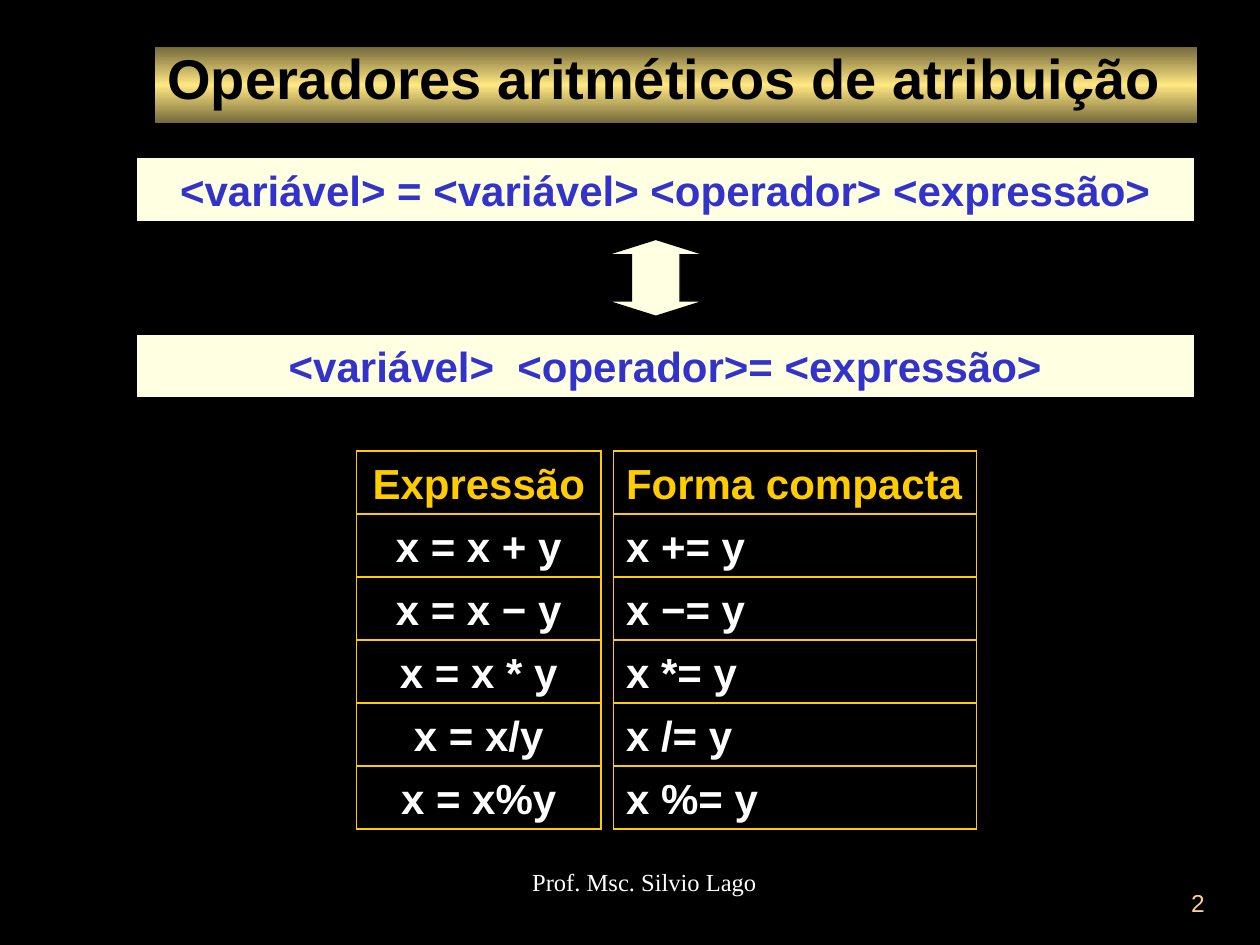
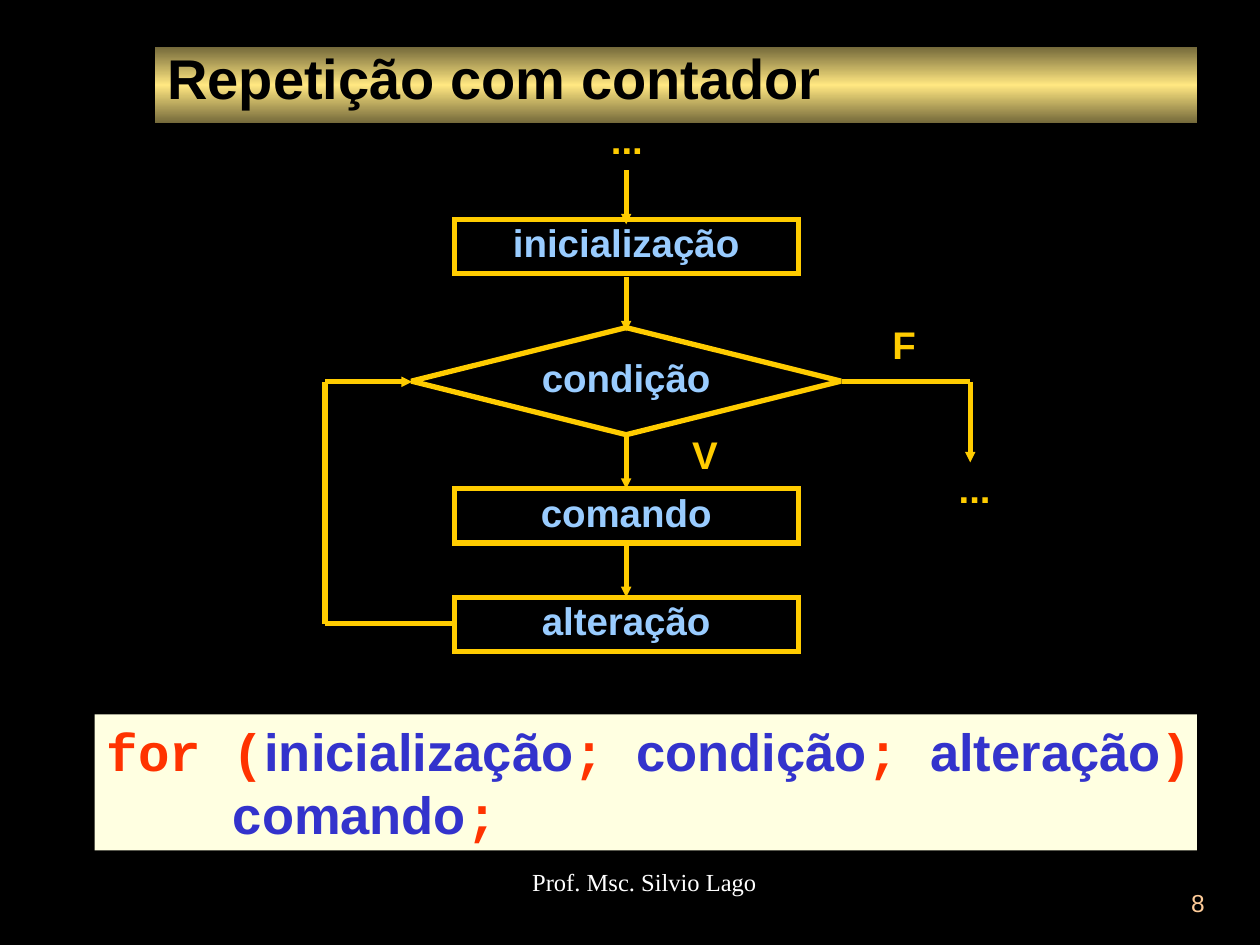
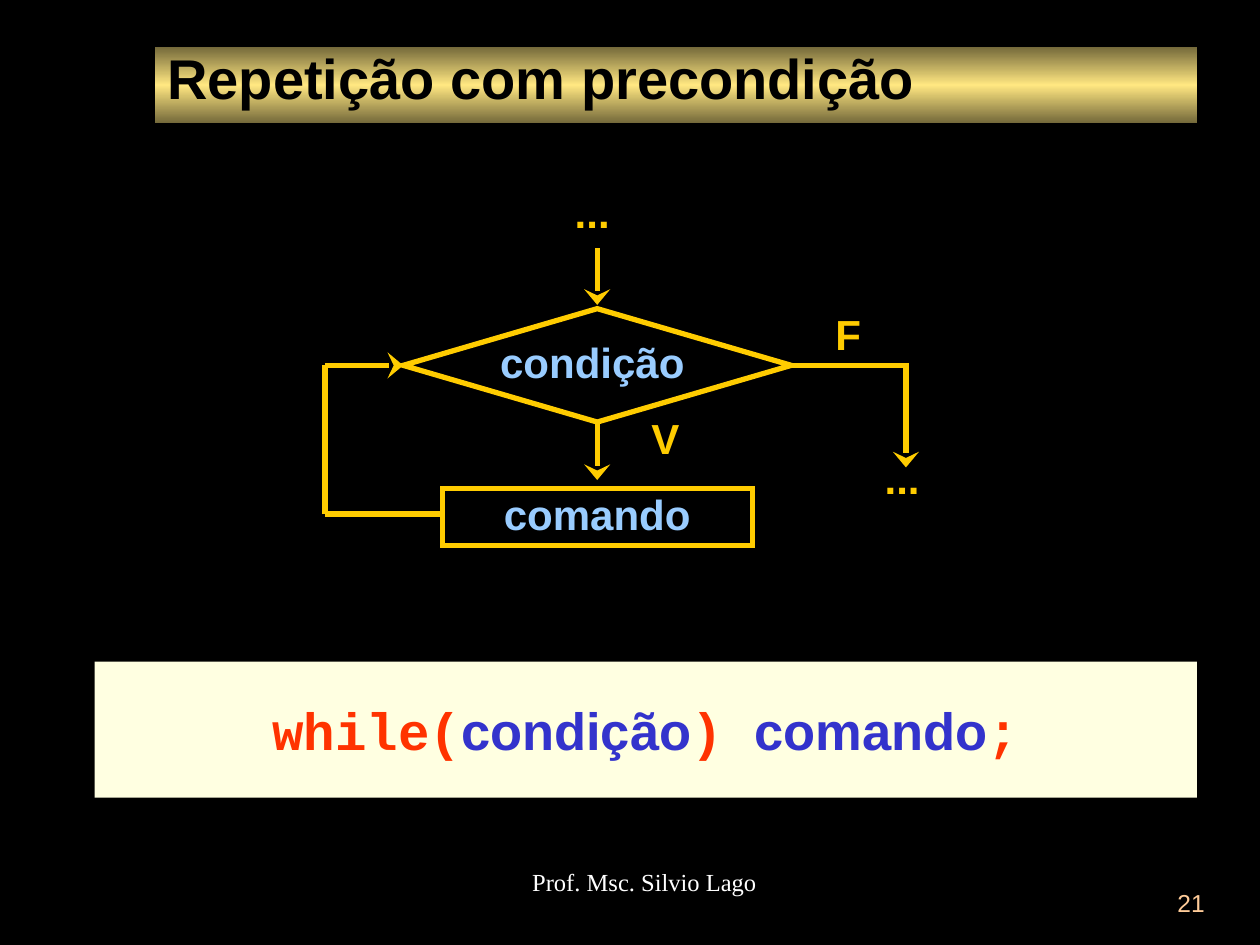
from copy import deepcopy

from pptx import Presentation
from pptx.dml.color import RGBColor
from pptx.enum.shapes import MSO_CONNECTOR, MSO_SHAPE as Shape
from pptx.enum.text import MSO_ANCHOR as Anchor, PP_ALIGN as Align
from pptx.oxml import parse_xml
from pptx.oxml.ns import nsdecls, qn
from pptx.util import Inches, Pt

BLACK, WHITE, CREAM = "000000", "FFFFFF", "FFFFE1"
GOLD, BLUE, SKY, RED, PEACH = "FFCC00", "3333CC", "99CCFF", "FF3300", "FFCC99"
TITLE_STOPS = [(0, "73683A"), (0.5, "FFE781"), (1, "73683A")]
BOX_INSETS = (0.1, 0.05, 0.1, 0.05)
hex_color = RGBColor.from_string


def write(frame, text, size=24, color=WHITE, font="Arial", bold=True,
          align=Align.CENTER, name_color=BLUE):
    """Fill a text frame; parts between bars are names set in Arial."""
    for row, line in enumerate(text.split("\n")):
        para = frame.add_paragraph() if row else frame.paragraphs[0]
        para.alignment = align
        for index, part in enumerate(line.split("|")):
            is_name = index % 2 == 1
            span = para.add_run()
            span.text = part
            span.font.name = "Arial" if is_name else font
            span.font.size = Pt(size)
            span.font.bold = bold
            span.font.color.rgb = hex_color(name_color if is_name else color)


def add_box(page, left, top, width, height, text="", kind=Shape.RECTANGLE, fill=None,
            line=None, line_width=0.75, anchor=Anchor.TOP, insets=BOX_INSETS,
            wrap=True, **text_format):
    place = [Inches(length) for length in (left, top, width, height)]
    if fill or line:
        box = page.shapes.add_shape(kind, *place)
        box.shadow.inherit = False
        if fill:
            box.fill.solid()
            box.fill.fore_color.rgb = hex_color(fill)
        else:
            box.fill.background()
        if line:
            box.line.color.rgb = hex_color(line)
            box.line.width = Pt(line_width)
            box.line._get_or_add_ln().append(
                parse_xml(f'<a:miter {nsdecls("a")} lim="800000"/>'))
        else:
            box.line.fill.background()
    else:
        box = page.shapes.add_textbox(*place)
    frame = box.text_frame
    frame.word_wrap = wrap
    frame.vertical_anchor = anchor
    (frame.margin_left, frame.margin_top,
     frame.margin_right, frame.margin_bottom) = map(Inches, insets)
    if text:
        write(frame, text, **text_format)
    return box


deck = Presentation()
deck.slide_width, deck.slide_height = Inches(10), Inches(7.5)

# Background, title band and footer on every page
pages = []
for title, number in [("Operadores aritméticos de atribuição", 2),
                      ("Repetição com contador", 8),
                      ("Repetição com precondição", 21)]:
    page = deck.slides.add_slide(deck.slide_layouts[6])
    page.background.fill.solid()
    page.background.fill.fore_color.rgb = hex_color(BLACK)
    band = add_box(page, 1.23, 0.37, 8.27, 0.61, title, fill=CREAM,
                   anchor=Anchor.MIDDLE, insets=(0.1, 0, 0.1, 0.13),
                   size=32, color=BLACK, align=Align.LEFT)
    band.fill.gradient()
    band.fill.gradient_angle = 90
    stop_list = next(band._element.spPr.iter(qn("a:gsLst")))
    stop_list.insert(1, deepcopy(stop_list[0]))
    for stop, (position, color) in zip(band.fill.gradient_stops, TITLE_STOPS):
        stop.position = position
        stop.color.rgb = hex_color(color)
    add_box(page, 3.53, 6.83, 3.17, 0.5, "Prof. Msc. Silvio Lago", size=14,
            font="Times New Roman", bold=False)
    add_box(page, 7.58, 7, 2.08, 0.5, str(number), size=14, color=PEACH,
            bold=False, align=Align.RIGHT)
    pages.append(page)
operators_page, for_page, while_page = pages

# Assignment forms and their equivalence arrow
for top, form in [(1.25, "<variável> = <variável> <operador> <expressão>"),
                  (2.65, "<variável>  <operador>= <expressão>")]:
    add_box(operators_page, 1.08, top, 8.4, 0.51, form, fill=CREAM, line=BLACK,
            anchor=Anchor.MIDDLE, wrap=False, color=BLUE)
arrow = add_box(operators_page, 4.82, 1.9, 0.77, 0.61, kind=Shape.UP_DOWN_ARROW,
                fill=CREAM, line=BLACK)
arrow.adjustments[0], arrow.adjustments[1] = 0.2, 0.5
for guide in arrow._element.spPr.iter(qn("a:gd")):
    share = {"adj1": 50000, "adj2": 19900}[guide.get("name")]
    guide.set("fmla", f"val {share}")

# Expressions beside their compact forms, as two separate columns of cells
row_height = 0.5
for left, width, align, entries in [
    (2.83, 1.94, Align.CENTER,
     ["Expressão", "x = x + y", "x = x − y", "x = x * y", "x = x/y", "x = x%y"]),
    (4.87, 2.88, Align.LEFT,
     ["Forma compacta", "x += y", "x −= y", "x *= y", "x /= y", "x %= y"]),
]:
    for row, entry in enumerate(entries):
        add_box(operators_page, left, 3.58 + row * row_height, width, row_height, entry,
                line=GOLD, anchor=Anchor.MIDDLE, wrap=False,
                color=WHITE if row else GOLD, align=align)

# Code panels
for page, top, align, code in [
    (for_page, 5.67, Align.LEFT,
     "for (|inicialização|; |condição|; |alteração|)\n    |comando|;"),
    (while_page, 5.25, Align.CENTER, "while(|condição|) |comando|;"),
]:
    add_box(page, 0.75, top, 8.75, 1.08, code, fill=CREAM, anchor=Anchor.MIDDLE,
            wrap=False, size=30, font="Courier New", color=RED, align=align)

# Flowcharts: steps (kind, top, width, height, text, alignment),
# lines (x1, y1, x2, y2, has arrowhead), labels (text, left, top, alignment)
PROCESS, DECISION = Shape.FLOWCHART_PROCESS, Shape.FLOWCHART_DECISION
LOOP_X = 2.58
for_axis, for_exit = 4.97, 7.7
while_axis, while_exit = 4.74, 7.19
flowcharts = [
    dict(
        page=for_page, axis=for_axis, size=22, label_size=(0.69, 0.43),
        head='type="triangle" w="sm" len="sm"',
        steps=[(DECISION, 2.6, 3.41, 0.85, "condição", Align.CENTER)]
        + [(PROCESS, top, 2.73, 0.43, text, Align.CENTER)
           for top, text in [(1.74, "inicialização"), (3.88, "comando"),
                             (4.74, "alteração")]],
        lines=[(for_axis, top, for_axis, top + 0.43, True)
               for top in (1.35, 2.2, 3.45, 4.31)]
        + [(3.61, 4.95, LOOP_X, 4.95, False),
           (LOOP_X, 4.95, LOOP_X, 3.03, False),
           (LOOP_X, 3.03, 3.27, 3.03, True),
           (6.68, 3.03, for_exit, 3.03, False),
           (for_exit, 3.03, for_exit, 3.67, True)],
        labels=[("V", 5.25, 3.42, Align.CENTER), ("F", 6.83, 2.55, Align.CENTER),
                ("...", 7.39, 3.69, Align.CENTER), ("...", 4.63, 0.92, Align.CENTER)],
    ),
    dict(
        page=while_page, axis=while_axis, size=24, label_size=(0.92, 0.45),
        head='type="stealth" w="lg" len="med"',
        steps=[(DECISION, 2.45, 3.08, 0.9, "condição", Align.LEFT),
               (PROCESS, 3.88, 2.46, 0.45, "comando", Align.CENTER)],
        lines=[(while_axis, top, while_axis, top + 0.45, True) for top in (1.97, 3.36)]
        + [(3.51, 4.08, LOOP_X, 4.08, False),
           (LOOP_X, 4.08, LOOP_X, 2.9, False),
           (LOOP_X, 2.9, 3.2, 2.9, True),
           (6.28, 2.9, while_exit, 2.9, False),
           (while_exit, 2.88, while_exit, 3.71, True)],
        labels=[("V", 5.17, 3.27, Align.LEFT), ("F", 6.63, 2.45, Align.LEFT),
                ("...", 6.7, 3.59, Align.CENTER), ("...", 4.24, 1.48, Align.CENTER)],
    ),
]
for chart in flowcharts:
    page = chart["page"]
    for kind, top, width, height, text, align in chart["steps"]:
        add_box(page, chart["axis"] - width / 2, top, width, height, text, kind=kind,
                line=GOLD, line_width=3, insets=(0, 0, 0, 0), size=chart["size"],
                color=SKY, align=align)
    for *ends, has_head in chart["lines"]:
        link = page.shapes.add_connector(MSO_CONNECTOR.STRAIGHT, *map(Inches, ends))
        link.line.color.rgb = hex_color(GOLD)
        link.line.width = Pt(3)
        if has_head:
            link.line._get_or_add_ln().append(
                parse_xml(f'<a:tailEnd {nsdecls("a")} {chart["head"]}/>'))
        link._element.spPr.append(parse_xml(f'<a:effectLst {nsdecls("a")}/>'))
    for text, left, top, align in chart["labels"]:
        add_box(page, left, top, *chart["label_size"], text, insets=(0, 0, 0, 0),
                size=chart["size"], color=GOLD, align=align)

deck.save("out.pptx")
